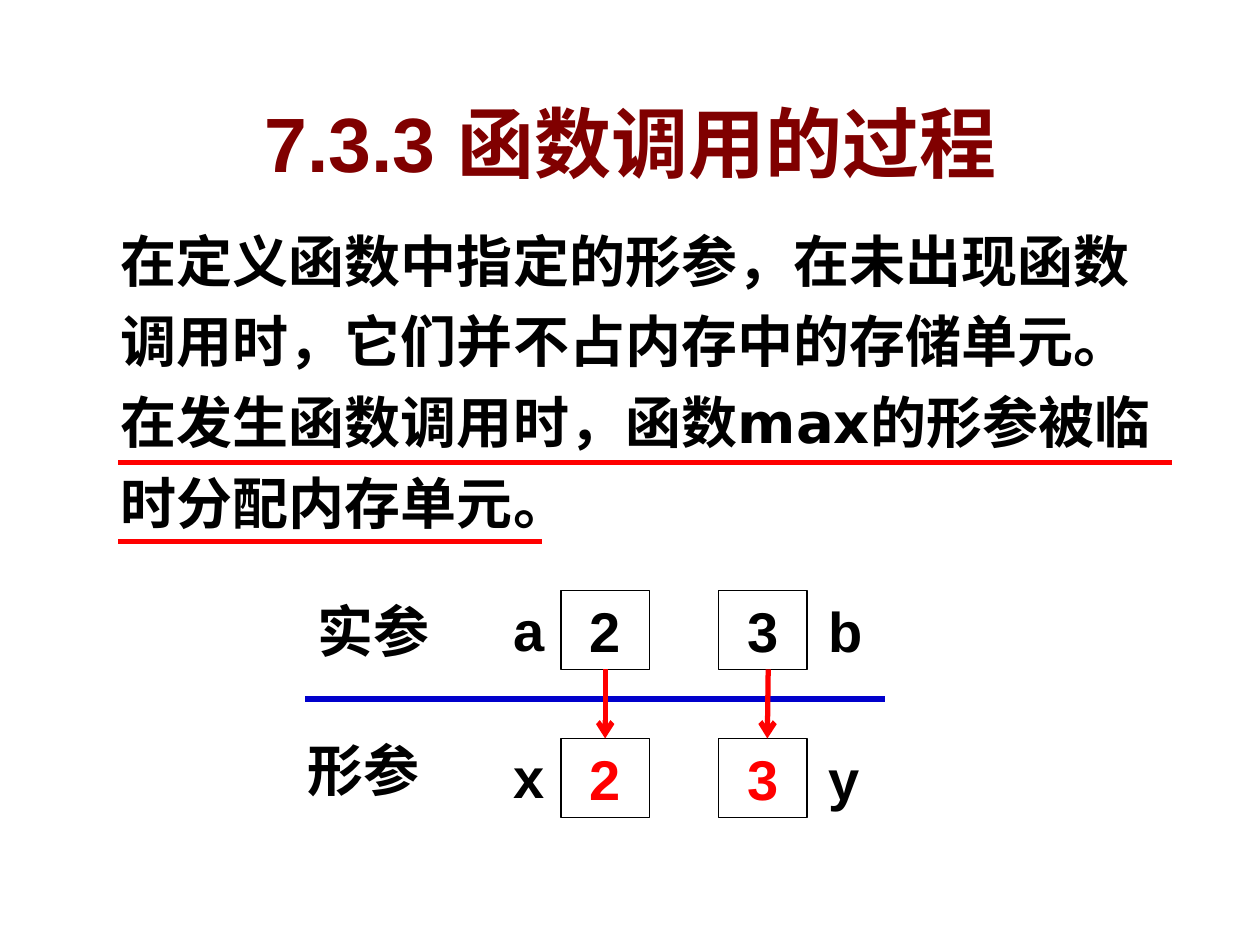
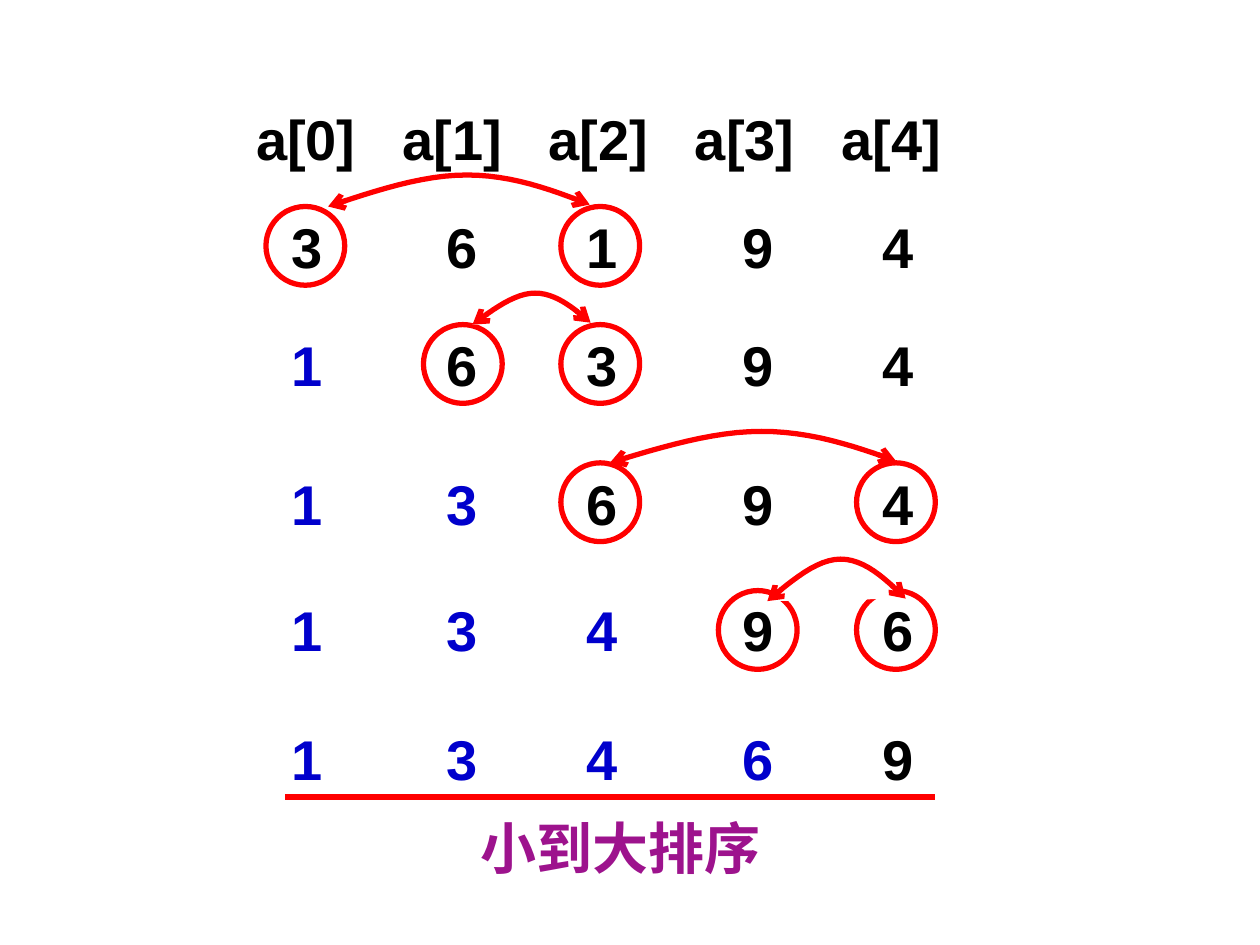
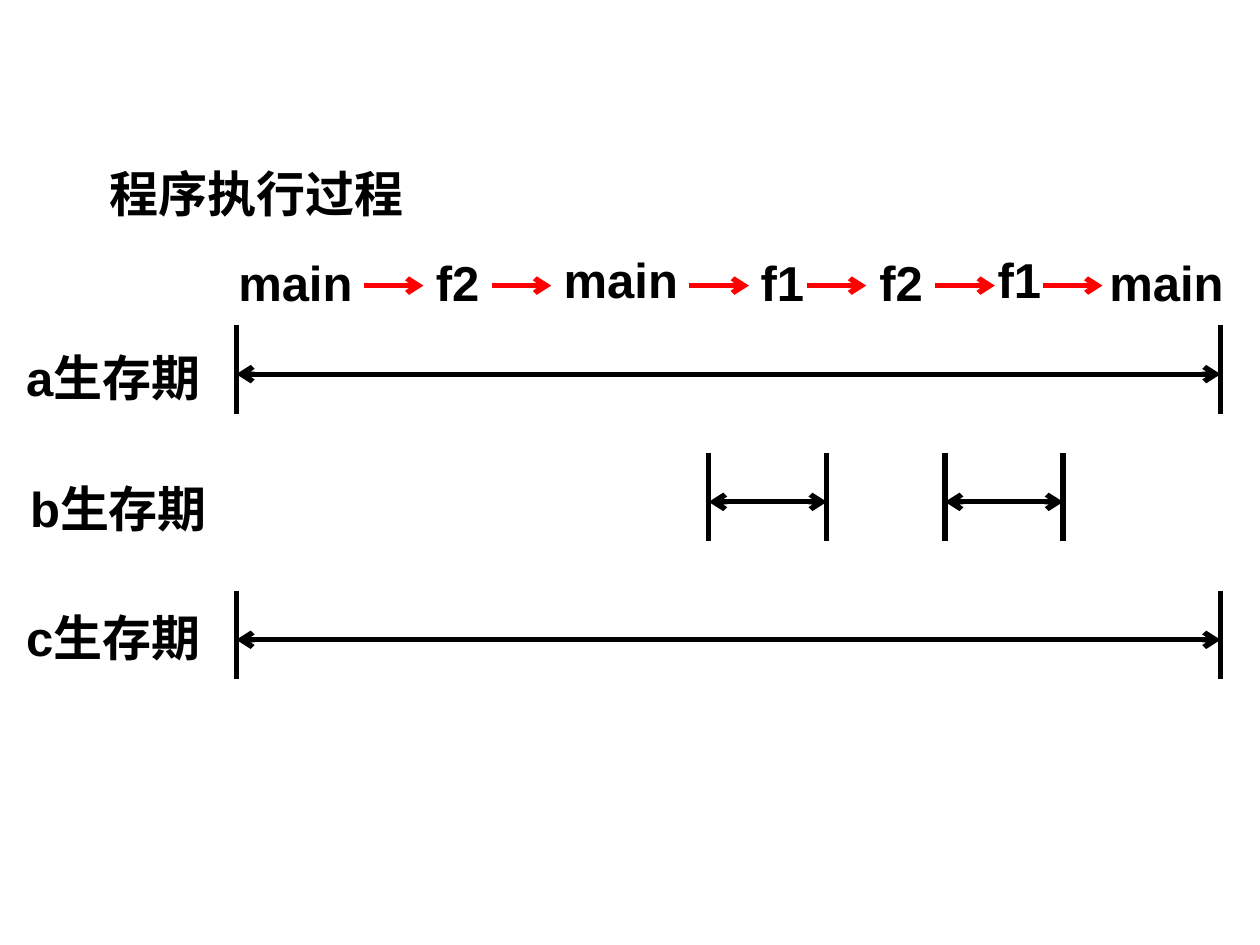
from lxml.etree import SubElement
from pptx import Presentation
from pptx.dml.color import RGBColor
from pptx.enum.shapes import MSO_CONNECTOR, MSO_SHAPE
from pptx.enum.text import MSO_ANCHOR, PP_ALIGN
from pptx.oxml.ns import qn
from pptx.util import Pt

BLACK, WHITE, RED, BLUE = "000000", "FFFFFF", "FF0000", "0000CC"
MAROON, PURPLE, SHADOW = "800000", "9D138D", "C0C0C0"
FONT, BODY_FONT = "Arial", "DejaVu Sans"
TEXT_SIZE, STROKE = 32, 3

# Two joined cubic curves, as fractions of the arc's width and height
ARC_CURVES = [
    [(0, 1), (0.18, 0.5), (0.36, 0), (0.53, 0)],
    [(0.53, 0), (0.7, 0), (0.85, 0.45), (1, 0.94)],
]
ARC_STEPS = 12


def rgb(color):
    return RGBColor.from_string(color)


def write(box, spans, size=TEXT_SIZE, align=PP_ALIGN.LEFT, font=FONT, anchor=MSO_ANCHOR.TOP):
    """Fill the first paragraph of box with (text, colour) spans."""
    frame = box.text_frame
    frame.vertical_anchor = anchor
    para = frame.paragraphs[0]
    para.alignment = align
    for text, color in spans:
        span = para.add_run()
        span.text = text
        span.font.size = Pt(size)
        span.font.bold = True
        span.font.color.rgb = rgb(color)
        span.font.name = font
    return para


def add_text(slide, spans, left, top, width, height, **style):
    box = slide.shapes.add_textbox(Pt(left), Pt(top), Pt(width), Pt(height))
    box.text_frame.word_wrap = True
    return write(box, spans, **style)


def add_label(slide, text, left, top, width):
    add_text(slide, [(text, BLACK)], left, top, width, 41, size=28, align=PP_ALIGN.CENTER)


def add_title(slide, text):
    para = add_text(slide, [(text, MAROON)], 11.5, 51, 698, 60.5, size=44,
                    align=PP_ALIGN.CENTER, anchor=MSO_ANCHOR.MIDDLE)
    fill = para.runs[0].font._element.find(qn("a:solidFill"))
    effects = SubElement(fill.getparent(), qn("a:effectLst"))
    fill.addnext(effects)
    shadow = SubElement(effects, qn("a:outerShdw"), dist="35921", dir="2700000", algn="ctr")
    SubElement(shadow, qn("a:srgbClr"), val=SHADOW)


def style_line(line, color, heads=(), width=STROKE):
    line.color.rgb = rgb(color)
    line.width = Pt(width)
    for end in heads:
        SubElement(line._get_or_add_ln(), qn("a:" + end), type="arrow")


def add_line(slide, x1, y1, x2, y2, color, heads=()):
    connector = slide.shapes.add_connector(MSO_CONNECTOR.STRAIGHT, Pt(x1), Pt(y1), Pt(x2), Pt(y2))
    style_line(connector.line, color, heads)
    SubElement(connector._element.spPr, qn("a:effectLst"))
    return connector


def add_cell(slide, digit, color, left, top):
    cell = slide.shapes.add_shape(MSO_SHAPE.FLOWCHART_PROCESS, Pt(left), Pt(top), Pt(50.6), Pt(45))
    cell.shadow.inherit = False
    cell.fill.solid()
    cell.fill.fore_color.rgb = rgb(WHITE)
    style_line(cell.line, BLACK, width=0.75)
    cell.text_frame.word_wrap = False
    write(cell, [(digit, color)], align=PP_ALIGN.CENTER)
    return cell


def add_row(slide, spans, top, stops):
    """Write tab-separated spans centred on the given tab stops."""
    para = add_text(slide, spans, 106.5, top, 472.5, 46)
    tabs = SubElement(para._p.get_or_add_pPr(), qn("a:tabLst"))
    for stop in stops:
        SubElement(tabs, qn("a:tab"), pos=str(Pt(stop)), algn="ctr")


def add_ring(slide, left, top):
    ring = slide.shapes.add_shape(MSO_SHAPE.OVAL, Pt(left), Pt(top), Pt(45), Pt(45))
    ring.shadow.inherit = False
    ring.fill.background()
    style_line(ring.line, RED)


def cubic(points, t):
    weights = ((1 - t) ** 3, 3 * t * (1 - t) ** 2, 3 * t * t * (1 - t), t ** 3)
    return tuple(sum(w * p[axis] for w, p in zip(weights, points)) for axis in (0, 1))


def add_swap_arc(slide, left, top, width, height):
    points = [cubic(curve, step / ARC_STEPS)
              for curve in ARC_CURVES for step in range(1, ARC_STEPS + 1)]
    place = [(Pt(left + x * width), Pt(top + y * height)) for x, y in points]
    builder = slide.shapes.build_freeform(Pt(left), Pt(top + height))
    builder.add_line_segments(place, close=False)
    arc = builder.convert_to_shape()
    arc.shadow.inherit = False
    arc.fill.solid()
    arc.fill.fore_color.rgb = rgb(WHITE)
    style_line(arc.line, RED, ("headEnd", "tailEnd"))


def add_lifetime(slide, start, end, y):
    add_line(slide, start, y, end, y, BLACK, ("headEnd", "tailEnd"))
    for x in (start, end):
        add_line(slide, x, y - 28, x, y + 22.5, BLACK)


def build_call_slide(slide):
    add_title(slide, "7.3.3 函数调用的过程")
    body = add_text(slide, [(
        "在定义函数中指定的形参，在未出现函数调用时，它们并不占内存中的存储单元。"
        "在发生函数调用时，函数max的形参被临时分配内存单元。", BLACK)],
        62, 118, 618.5, 219.5, font=BODY_FONT)
    body.line_spacing = 1.2

    actual_top, formal_top = 337.5, 422
    actual_a = add_cell(slide, "2", BLACK, 320.5, actual_top)
    add_cell(slide, "3", BLACK, 410.5, actual_top)
    formal_x = add_cell(slide, "2", RED, 320.5, formal_top)
    add_cell(slide, "3", RED, 410.5, formal_top)
    for name, left, top, width in [
        ("a", 286.5, 336.5, 40), ("b", 466.5, 337.5, 40),
        ("x", 286.5, 421, 40), ("y", 466.5, 422, 40),
        ("实参", 174.5, 337.5, 90), ("形参", 168.5, 416.5, 90),
    ]:
        add_text(slide, [(name, BLACK)], left, top, width, 46)

    add_line(slide, 67.5, 264.5, 669.5, 264.5, RED)
    add_line(slide, 67.5, 309.5, 309.5, 309.5, RED)
    add_line(slide, 174.5, 399.5, 506, 399.5, BLUE)
    pass_a = add_line(slide, 345.8, 382.5, 345.8, formal_top, RED, ["tailEnd"])
    pass_a.begin_connect(actual_a, 2)
    pass_a.end_connect(formal_x, 0)
    add_line(slide, 439, 382.5, 438.5, formal_top, RED, ["tailEnd"])


def build_sort_slide(slide):
    add_row(slide, [("".join(f"\ta[{i}]" for i in range(5)), BLACK)], 56,
            [61.2 + 83.6 * i for i in range(5)])

    digit_stops = [62, 150.5, 230.5, 319.5, 399.5]
    ring_lefts = [152, 242, 320.5, 410.5, 489.5]
    # digits, row top, ring top, swapped column, arc box
    passes = [
        ("36194", 118, 118, 2, (187.5, 100, 149.5, 18)),
        ("16394", 185.5, 185.5, 2, (270, 167.5, 67.5, 18)),
        ("13694", 264.5, 264.5, 4, (348.5, 246.5, 163.5, 18)),
        ("13496", 336.5, 337.5, 4, (438.5, 319.5, 79, 24)),
        ("13469", 410.5, None, None, None),
    ]
    for done, (digits, top, ring_top, swapped, arc) in enumerate(passes):
        tabbed = ["\t" + digit for digit in digits]
        spans = [("".join(tabbed[:done]), BLUE), ("".join(tabbed[done:]), BLACK)]
        add_row(slide, [span for span in spans if span[0]], top, digit_stops)
        if arc:
            for column in (done, swapped):
                add_ring(slide, ring_lefts[column], ring_top)
            add_swap_arc(slide, *arc)

    add_text(slide, [("小到大排序", PURPLE)], 214, 461.5, 281.5, 46, align=PP_ALIGN.CENTER)
    add_line(slide, 163, 455.5, 534.5, 455.5, RED)


def build_lifetime_slide(slide):
    add_label(slide, "程序执行过程", 39.5, 90, 214)
    for text, left, top, width in [
        ("main", 118, 140.5, 101.5), ("f2", 230.5, 140.5, 62),
        ("main", 304, 139, 101.5), ("f1", 416, 140.5, 62),
        ("f2", 484, 140.5, 62), ("f1", 551.5, 139, 62),
        ("main", 624.5, 140.5, 84),
    ]:
        add_label(slide, text, left, top, width)
    for start in (208, 281, 394, 461, 534.5, 596):
        add_line(slide, start, 163.2, start + 34, 163.2, RED, ["tailEnd"])

    whole_run = (135, 697.5)
    for name, label_top, width, y, periods in [
        ("a", 195, 129.5, 213.8, [whole_run]),
        ("b", 270, 135.5, 286.8, [(405, 472.5), (540, 607.5)]),
        ("c", 343.5, 129.5, 365.6, [whole_run]),
    ]:
        add_label(slide, name + "生存期", 0, label_top, width)
        for start, end in periods:
            add_lifetime(slide, start, end, y)


def main():
    deck = Presentation()
    deck.slide_width, deck.slide_height = Pt(720), Pt(540)
    for build in (build_call_slide, build_sort_slide, build_lifetime_slide):
        build(deck.slides.add_slide(deck.slide_layouts[6]))
    deck.save("out.pptx")


if __name__ == "__main__":
    main()
